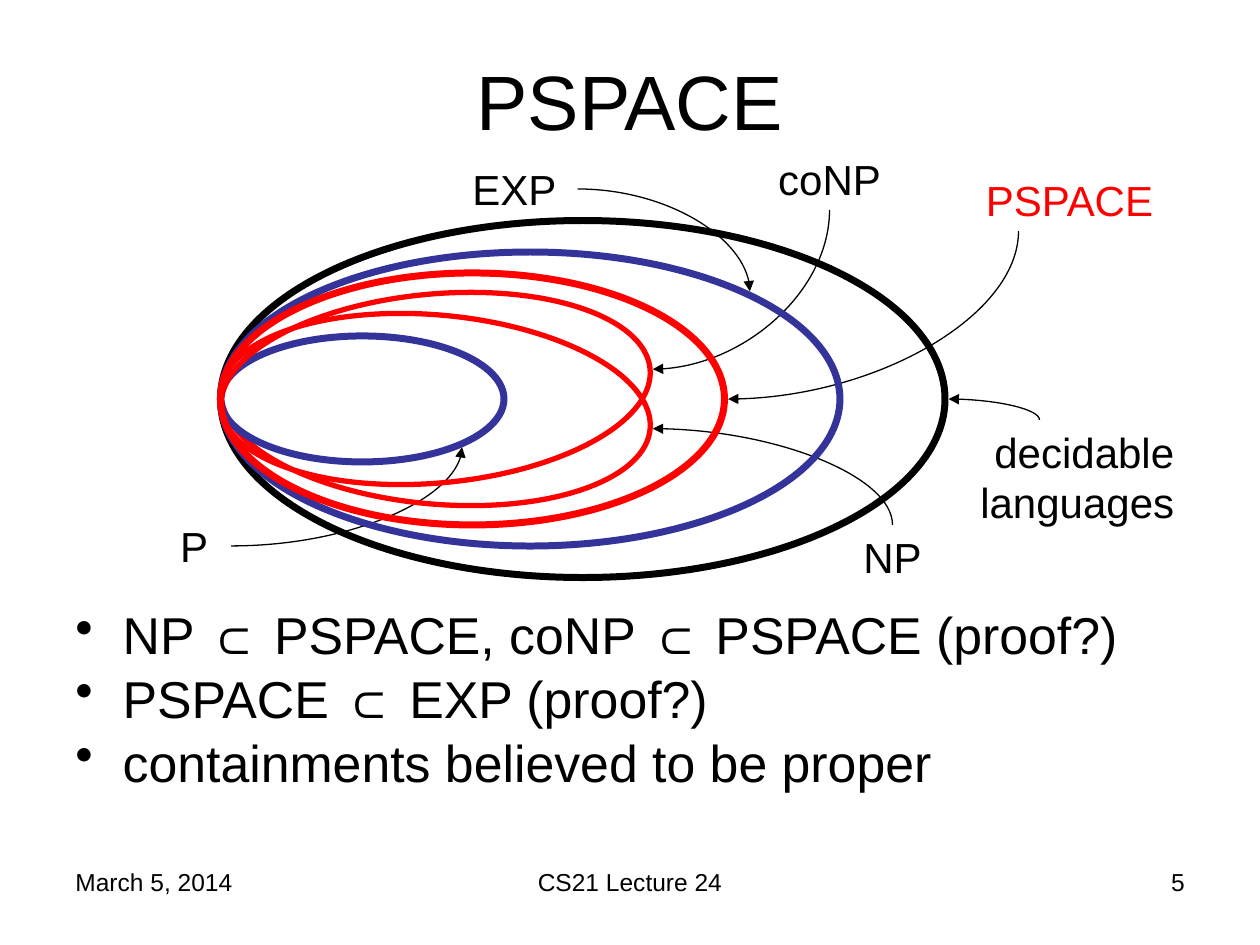
from lxml.etree import SubElement
from pptx import Presentation
from pptx.dml.color import RGBColor
from pptx.enum.shapes import MSO_CONNECTOR, MSO_SHAPE
from pptx.enum.text import MSO_ANCHOR, PP_ALIGN
from pptx.oxml.ns import qn
from pptx.util import Pt

BLACK, RED, BLUE = "000000", "FF0000", "333399"
LEFT, CENTER, RIGHT = PP_ALIGN.LEFT, PP_ALIGN.CENTER, PP_ALIGN.RIGHT

# Content: text, box (left, top, width, height), alignment
TITLE = ("PSPACE", (36, 12, 648, 90), CENTER)
FOOTERS = [
    ("March 5, 2014", (36, 492, 168, 37.5), LEFT),
    ("CS21 Lecture 24", (246, 492, 228, 37.5), CENTER),
    ("5", (516, 492, 168, 37.5), RIGHT),
]
BULLETS = [
    "NP ⊂ PSPACE, coNP ⊂ PSPACE (proof?)",
    "PSPACE ⊂ EXP (proof?)",
    "containments believed to be proper",
]
BULLET_BOX = (36, 348, 648, 134.64)

# Class labels: text, box, alignment, colour
LABELS = [
    ("PSPACE", (498, 96, 168, 36), RIGHT, RED),
    ("NP", (426, 300, 168, 36), CENTER, BLACK),
    ("P", (90, 294, 42, 36), CENTER, BLACK),
    ("EXP", (258, 90, 72, 36), CENTER, BLACK),
    ("coNP", (390, 84, 168, 36), CENTER, BLACK),
    ("decidable languages", (510, 240, 168, 64.8), RIGHT, BLACK),
]

# Arrows from label to class: start, end, whether it leaves vertically
ARROWS = [
    ((582, 132), (416, 228), True),      # PSPACE
    ((510, 300), (373, 245), True),      # NP
    ((132, 312), (264, 255.5), False),   # P
    ((330, 108), (428.5, 166.5), False), # EXP
    ((474, 120), (373, 211), True),      # coNP
    ((594, 240), (542, 228), True),      # decidable
]

# Class ellipses share a left edge: top, width, height, tilt, colour, line
CLASS_LEFT = 126
ELLIPSES = [
    (180, 246, 108, 5.2, RED, 3),    # NP
    (192, 162, 72, 0, BLUE, 4),      # P
    (168, 246, 108, -5.2, RED, 3),   # coNP
    (126, 414, 204, 0, BLACK, 4),    # decidable
    (144, 354, 168, 0, BLUE, 4),     # EXP
    (156, 288, 144, 0, RED, 4),      # PSPACE
]


def color(value):
    return RGBColor.from_string(value)


def apply(target, values):
    for name, value in values.items():
        setattr(target, name, value)


def add_text(box, paragraphs, size, align=LEFT, ink=BLACK,
             anchor=MSO_ANCHOR.TOP, bulleted=False):
    frame = slide.shapes.add_textbox(*map(Pt, box)).text_frame
    apply(frame, {"word_wrap": True, "vertical_anchor": anchor})
    for i, text in enumerate(paragraphs):
        paragraph = frame.add_paragraph() if i else frame.paragraphs[0]
        paragraph.text = text
        paragraph.alignment = align
        if bulleted:
            add_bullet(paragraph)
            paragraph.line_spacing = 0.8
            if i:
                paragraph.space_before = Pt(8)
        font = paragraph.runs[0].font
        apply(font, {"name": "Arial", "size": Pt(size)})
        font.color.rgb = color(ink)


def add_bullet(paragraph):
    properties = paragraph._p.get_or_add_pPr()
    properties.set("marL", str(Pt(27)))
    properties.set("indent", str(-Pt(27)))
    SubElement(properties, qn("a:buChar"), char="•")


def add_arrow(start, end, vertical):
    (x1, y1), (x2, y2) = start, end
    down = y2 > y1
    if vertical:
        # A quarter turn about the centre makes the curve leave vertically
        cx, cy = (x1 + x2) / 2, (y1 + y2) / 2
        half_w, half_h = abs(y2 - y1) / 2, abs(x2 - x1) / 2
        x1, x2 = cx - half_w, cx + half_w
        y1, y2 = cy - half_h, cy + half_h
        if not down:
            y1, y2 = y2, y1
    arrow = slide.shapes.add_connector(
        MSO_CONNECTOR.CURVE, Pt(x1), Pt(y1), Pt(x2), Pt(y2))
    arrow.line.width = Pt(0.75)
    arrow.line.color.rgb = color(BLACK)
    properties = arrow._element.spPr
    properties.find(qn("a:prstGeom")).set("prst", "curvedConnector2")
    if vertical:
        turn = 90 if down else 270
        properties.find(qn("a:xfrm")).set("rot", str(turn * 60000))
    SubElement(properties.find(qn("a:ln")), qn("a:tailEnd"), type="triangle")
    SubElement(properties, qn("a:effectLst"))


def add_ellipse(top, width, height, tilt, ink, weight):
    ellipse = slide.shapes.add_shape(
        MSO_SHAPE.OVAL, Pt(CLASS_LEFT), Pt(top), Pt(width), Pt(height))
    ellipse.rotation = tilt
    ellipse.shadow.inherit = False
    ellipse.fill.background()
    ellipse.line.width = Pt(weight)
    ellipse.line.color.rgb = color(ink)


presentation = Presentation()
apply(presentation, {"slide_width": Pt(720), "slide_height": Pt(540)})
slide = presentation.slides.add_slide(presentation.slide_layouts[6])

# Footer, title and bullets
for text, box, align in FOOTERS:
    add_text(box, [text], 14, align)
title, title_box, title_align = TITLE
add_text(title_box, [title], 44, title_align, anchor=MSO_ANCHOR.MIDDLE)
add_text(BULLET_BOX, BULLETS, 29.6, bulleted=True)

# Diagram of nested classes
for text, box, align, ink in LABELS:
    add_text(box, [text], 24, align, ink)
for arrow_ends in ARROWS:
    add_arrow(*arrow_ends)
for ellipse_values in ELLIPSES:
    add_ellipse(*ellipse_values)

presentation.save("out.pptx")
